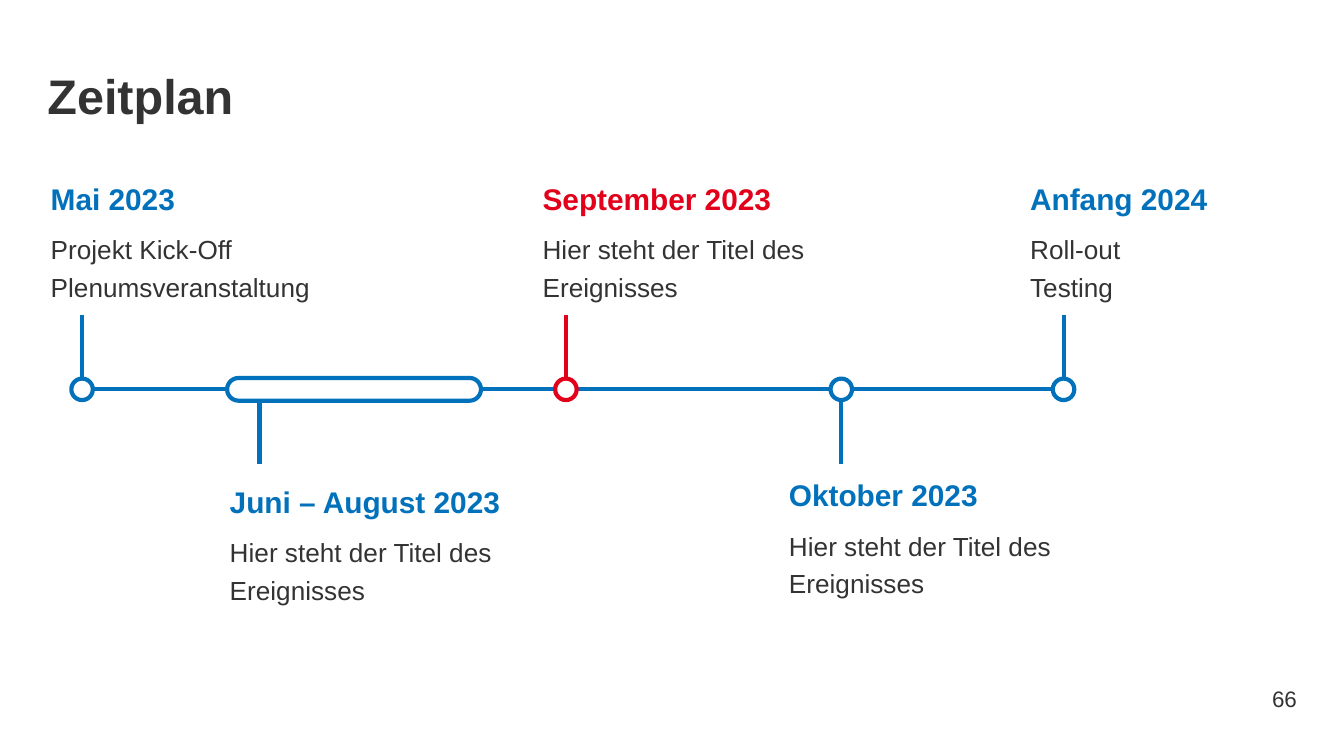
from lxml.etree import SubElement
from pptx import Presentation
from pptx.dml.color import RGBColor
from pptx.enum.shapes import MSO_CONNECTOR, MSO_SHAPE
from pptx.enum.text import MSO_ANCHOR, MSO_AUTO_SIZE, PP_ALIGN
from pptx.oxml.ns import qn
from pptx.util import Pt

BLUE = RGBColor(0x02, 0x71, 0xBB)
RED = RGBColor(0xE2, 0x00, 0x1A)
DARK = RGBColor(0x33, 0x33, 0x33)
WHITE = RGBColor(0xFF, 0xFF, 0xFF)

AXIS_Y = 208.6
MARKER = 11.5
PILL_LEFT, PILL_WIDTH, PILL_HEIGHT = 121.7, 136, 12.2
STEM_TOP, STEM_BOTTOM = 168.5, 248.8
TEXT_TOP = 89.3

# date, description, colour, text left, text top, marker centre
EVENTS = [
    ("Mai 2023", "Projekt Kick-Off\vPlenumsveranstaltung", BLUE, 20.1, TEXT_TOP, 44),
    ("Juni – August 2023", "Hier steht der Titel des Ereignisses", BLUE, 116, 251.6, 139),
    ("September 2023", "Hier steht der Titel des Ereignisses", RED, 283.6, TEXT_TOP, 303.2),
    ("Oktober 2023", "Hier steht der Titel des Ereignisses", BLUE, 415.6, 248, 450.7),
    ("Anfang 2024", "Roll-out\vTesting", BLUE, 544.8, TEXT_TOP, 569.8),
]


class Timeline:
    font_name = "Arial"
    line_width = Pt(2.25)

    def __init__(self, page):
        self.page = page

    def style(self, para, size, color, bold=False, spacing=None):
        font = para.font
        font.name, font.size, font.bold = self.font_name, Pt(size), bold
        font.color.rgb = color
        if spacing:
            para.line_spacing = spacing

    def title(self, text):
        box = self.page.shapes.title
        box.left, box.top, box.width, box.height = Pt(25.4), Pt(26.8), Pt(669), Pt(45.4)
        frame = box.text_frame
        frame.text = text
        frame.margin_left = 0
        frame.auto_size = MSO_AUTO_SIZE.NONE
        frame.vertical_anchor = MSO_ANCHOR.MIDDLE
        para = frame.paragraphs[0]
        para.alignment = PP_ALIGN.LEFT
        self.style(para, 26, DARK, True, 1.1)

    def text_box(self, left, top, width, height):
        frame = self.page.shapes.add_textbox(Pt(left), Pt(top), Pt(width), Pt(height)).text_frame
        frame.word_wrap = True
        return frame

    def page_number(self, number):
        frame = self.text_box(639.4, 363.6, 55.4, 21.6)
        frame.margin_right = 0
        frame.vertical_anchor = MSO_ANCHOR.MIDDLE
        para = frame.paragraphs[0]
        para.text = number
        para.alignment = PP_ALIGN.RIGHT
        self.style(para, 12, DARK)

    def event_text(self, date, description, color, left, top):
        frame = self.text_box(left, top, 176.4, 76)
        frame.auto_size = MSO_AUTO_SIZE.SHAPE_TO_FIT_TEXT
        heading = frame.paragraphs[0]
        heading.text = date
        heading.space_after = Pt(6)
        self.style(heading, 16, color, True, 1.2)
        body = frame.add_paragraph()
        body.text = description
        self.style(body, 14, DARK, False, 1.2)

    def line(self, x1, y1, x2, y2, color):
        connector = self.page.shapes.add_connector(
            MSO_CONNECTOR.STRAIGHT, Pt(x1), Pt(y1), Pt(x2), Pt(y2))
        connector.line.color.rgb = color
        connector.line.width = self.line_width
        SubElement(connector.line._get_or_add_ln().getparent(), qn("a:effectLst"))

    def marker(self, kind, left, width, height, color):
        shape = self.page.shapes.add_shape(
            kind, Pt(left), Pt(AXIS_Y - height / 2), Pt(width), Pt(height))
        shape.shadow.inherit = False
        shape.fill.solid()
        shape.fill.fore_color.rgb = WHITE
        shape.line.color.rgb = color
        shape.line.width = self.line_width
        return shape


def main():
    deck = Presentation()
    deck.slide_width, deck.slide_height = Pt(720), Pt(405)
    timeline = Timeline(deck.slides.add_slide(deck.slide_layouts[5]))

    # Title and page number
    timeline.title("Zeitplan")
    timeline.page_number("66")

    # Event texts
    for date, description, color, left, top, _ in EVENTS:
        timeline.event_text(date, description, color, left, top)

    # Axis between the first and the last marker
    timeline.line(EVENTS[0][-1] + MARKER / 2, AXIS_Y, EVENTS[-1][-1] - MARKER / 2, AXIS_Y, BLUE)

    # Stems towards the texts, with a marker on the axis
    for date, _, color, _, top, center in EVENTS:
        stem_end = STEM_TOP if top < AXIS_Y else STEM_BOTTOM
        timeline.line(center, AXIS_Y, center, stem_end, color)
        if "–" in date:  # a period instead of a single month
            pill = timeline.marker(
                MSO_SHAPE.ROUNDED_RECTANGLE, PILL_LEFT, PILL_WIDTH, PILL_HEIGHT, color)
            pill.adjustments[0] = 0.5
        else:
            timeline.marker(MSO_SHAPE.OVAL, center - MARKER / 2, MARKER, MARKER, color)

    deck.save("out.pptx")


if __name__ == "__main__":
    main()
